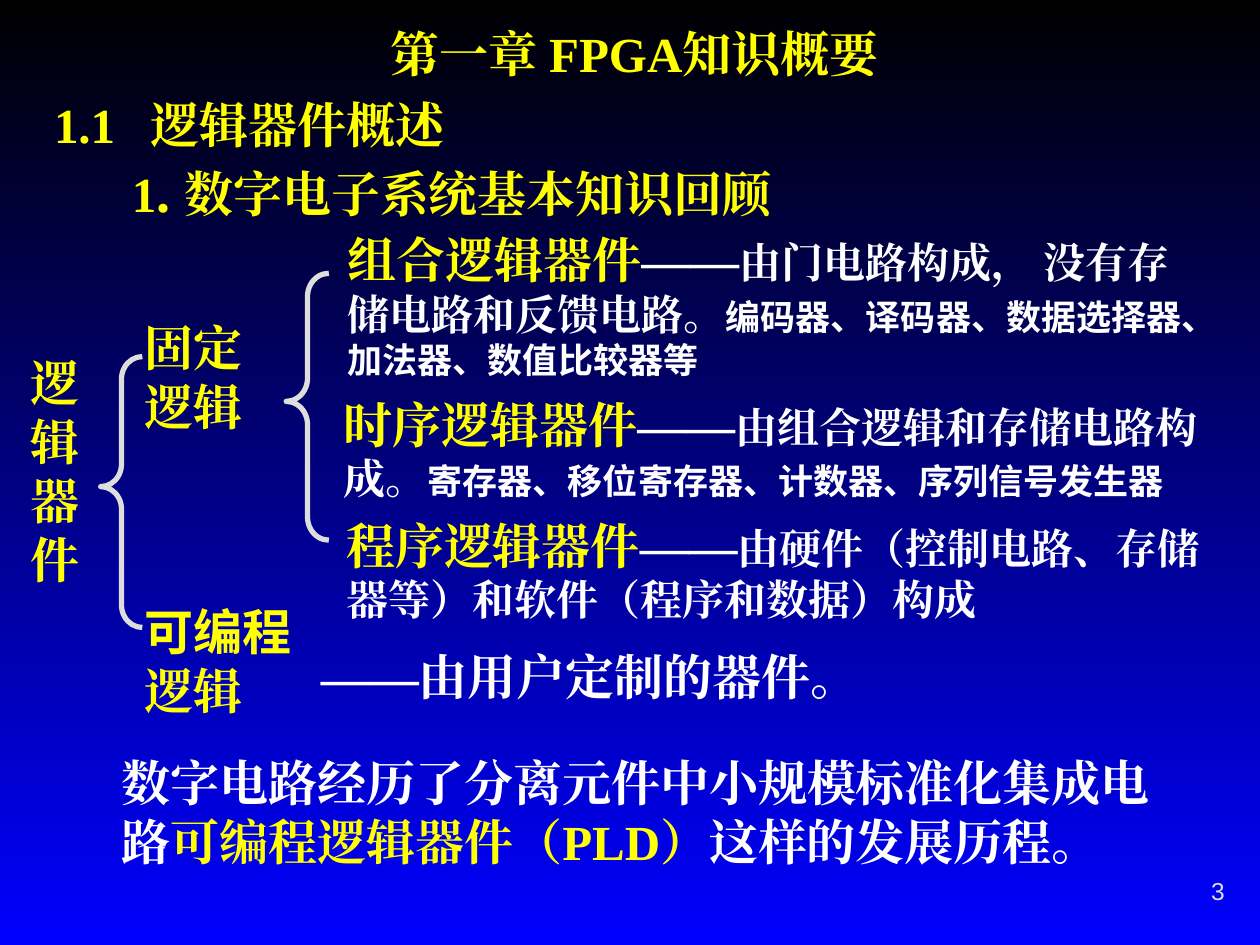
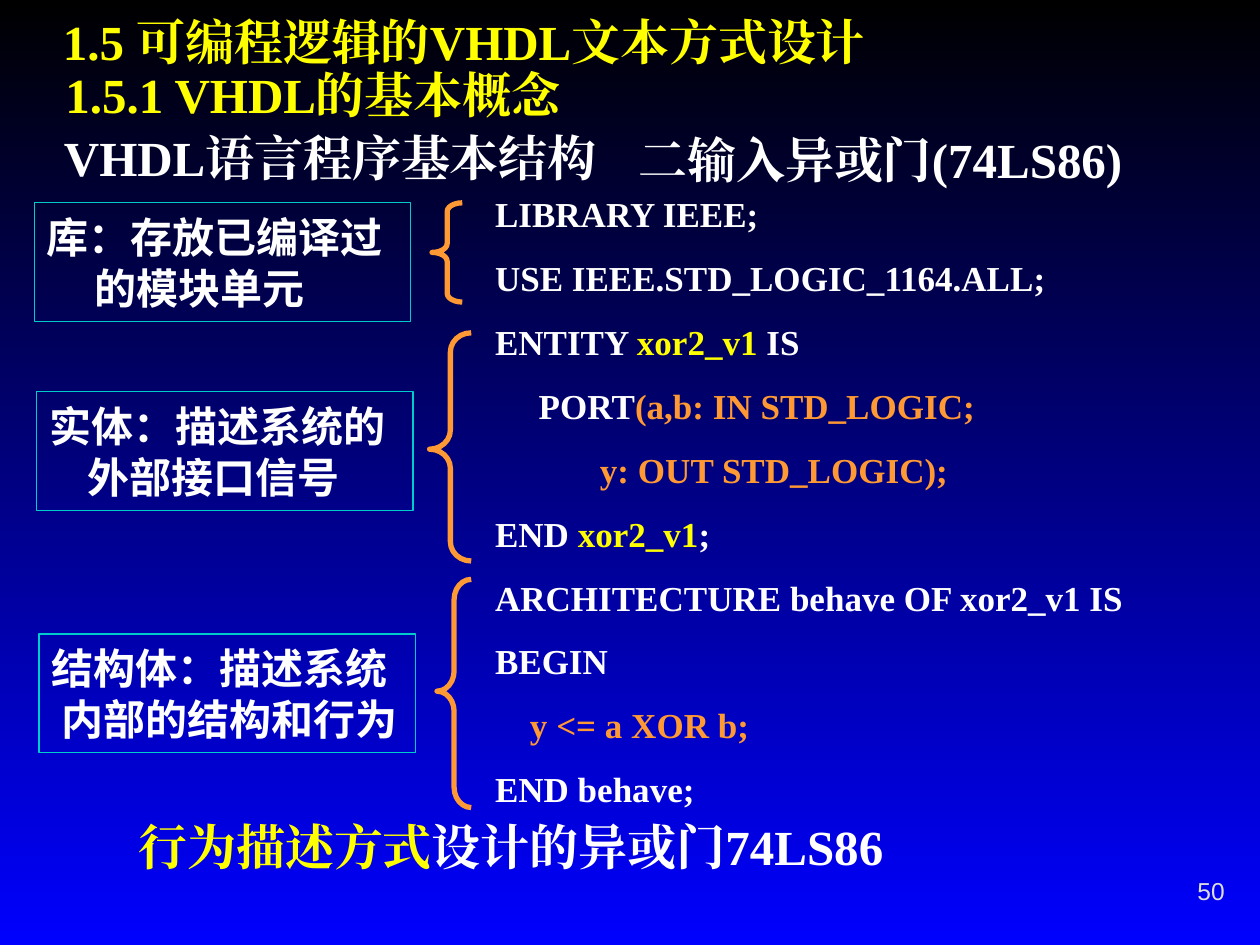
from lxml import etree
from pptx import Presentation
from pptx import util as u
from pptx.dml.color import RGBColor
from pptx.enum import shapes, text
from pptx.oxml import ns

BLACK = RGBColor(0, 0, 0)
BLUE = RGBColor(0, 0, 255)
YELLOW = RGBColor(255, 255, 0)
WHITE = RGBColor(255, 255, 255)
GREY = RGBColor(0xDD, 0xDD, 0xDD)
ORANGE = RGBColor(0xFF, 0x99, 0x33)
TEAL = RGBColor(0, 0xCC, 0xCC)

SERIF = "Times New Roman"
SANS = "Noto Sans CJK SC"
MIDDLE = text.MSO_ANCHOR.MIDDLE


def cm(*lengths):
    return [u.Cm(length) for length in lengths]


def span(words, color=YELLOW, size=28, font=SERIF, bold=True):
    return words, color, size, font, bold


def add_span(para, words, color, size, font, bold):
    run = para.add_run()
    run.text = words
    run.font.size = u.Pt(size)
    run.font.bold = bold
    run.font.color.rgb = color
    run.font.name = font
    east_asian = etree.Element(ns.qn("a:ea"), typeface=font)
    run.font._element.find(ns.qn("a:latin")).addnext(east_asian)
    return run


def add_text_shadow(run):
    effects = etree.Element(ns.qn("a:effectLst"))
    shadow = etree.SubElement(effects, ns.qn("a:outerShdw"),
                              dist="35921", dir="2700000")
    etree.SubElement(shadow, ns.qn("a:srgbClr"), val="000000")
    run.font._element.find(ns.qn("a:solidFill")).addnext(effects)


def fill_text(box, paragraphs, spacing=None, gap=0, align=text.PP_ALIGN.LEFT):
    frame = box.text_frame
    frame.word_wrap = True
    for index, spans in enumerate(paragraphs):
        para = frame.add_paragraph() if index else frame.paragraphs[0]
        para.alignment = align
        if spacing:
            para.line_spacing = spacing
        if index and gap:
            para.space_before = u.Pt(gap)
        for part in spans:
            add_span(para, *part)
    return frame


def add_text(page, place, *paragraphs, anchor=text.MSO_ANCHOR.TOP, **style):
    box = page.shapes.add_textbox(*cm(*place))
    frame = fill_text(box, paragraphs, **style)
    frame.vertical_anchor = anchor
    return frame


def add_brace(page, place, color, curve, tip):
    brace = page.shapes.add_shape(shapes.MSO_SHAPE.LEFT_BRACE, *cm(*place))
    brace.shadow.inherit = False
    brace.fill.background()
    brace.line.color.rgb = color
    brace.line.width = u.Pt(3)
    brace.adjustments[0] = curve
    brace.adjustments[1] = tip


def add_part_box(page, left, top, first, second, indent):
    box = page.shapes.add_shape(shapes.MSO_SHAPE.RECTANGLE,
                                *cm(left, top, 7.59, 2.39))
    box.shadow.inherit = False
    box.fill.background()
    box.line.color.rgb = TEAL
    box.line.width = u.Pt(0.75)
    lines = [[span(line, WHITE, 24, SANS)] for line in (first, second)]
    frame = fill_text(box, lines)
    frame.vertical_anchor = MIDDLE
    frame.margin_right = 0
    frame.paragraphs[1]._p.get_or_add_pPr().set("marL", str(u.Cm(indent)))


def add_page(deck, number):
    page = deck.slides.add_slide(deck.slide_layouts[6])
    add_text(page, (19.66, 17.32, 5.28, 1.27),
             [span(str(number), GREY, 14, "Arial", False)],
             anchor=MIDDLE, align=text.PP_ALIGN.RIGHT)
    return page


def set_background(deck):
    fill = deck.slide_master.background.fill
    fill.gradient()
    fill.gradient_angle = 270
    for stop, color, position in zip(fill.gradient_stops, (BLACK, BLUE), (0, 1)):
        stop.color.rgb = color
        stop.position = position


def build_overview(deck):
    page = add_page(deck, 3)
    add_text(page, (1.37, 0.53, 22.83, 1.09), [span("第一章 FPGA知识概要")],
             anchor=MIDDLE, align=text.PP_ALIGN.CENTER)
    section = add_text(page, (0.84, 1.78, 19.69, 1.78),
                       [span("1.1\t逻辑器件概述")])
    hanging = section.paragraphs[0]._p.get_or_add_pPr()
    hanging.set("marL", str(u.Cm(1.95)))
    hanging.set("indent", str(u.Cm(-1.95)))
    add_text(page, (2.41, 3.18, 20.12, 1.68),
             [span("1"), span(". ", size=32), span("数字电子系统基本知识回顾")],
             spacing=0.9)

    add_text(page, (0.25, 6.99, 1.7, 5), [span("逻辑器件")],
             align=text.PP_ALIGN.CENTER)
    add_brace(page, (2.03, 7.19, 0.84, 5.46), GREY, 0.54, 0.48)
    add_text(page, (2.67, 6.27, 3.1, 2.64), [span("固定")], [span("逻辑")])
    add_text(page, (2.67, 12.01, 3.5, 2.64),
             [span("可编程", font=SANS), span("逻辑")])
    add_brace(page, (5.77, 5.51, 0.86, 5.38), GREY, 0.54, 0.48)

    devices = [
        ((6.76, 4.5, 17.83, 3.3), "组合逻辑器件",
         "由门电路构成， 没有存储电路和反馈电路。",
         "编码器、译码器、数据选择器、加法器、数值比较器等"),
        ((6.68, 7.82, 18.03, 2.46), "时序逻辑器件",
         "由组合逻辑和存储电路构成。",
         "寄存器、移位寄存器、计数器、序列信号发生器"),
        ((6.73, 10.26, 18.24, 2.46), "程序逻辑器件",
         "由硬件（控制电路、存储器等）和软件（程序和数据）构成", ""),
    ]
    for place, name, meaning, examples in devices:
        spans = [span(name), span("——", WHITE), span(meaning, WHITE, 24)]
        if examples:
            spans.append(span(examples, WHITE, 20, SANS))
        add_text(page, place, spans)
    add_text(page, (6.22, 12.9, 16.03, 1.45),
             [span("——由用户定制的器件。", WHITE)])

    history = add_text(page, (2.21, 14.83, 21.54, 3.05),
                       [span("数字电路经历了分离元件中小规模标准化集成电路", WHITE),
                        span("可编程逻辑器件（PLD）"),
                        span("这样的发展历程。", WHITE)], anchor=MIDDLE)
    for run in history.paragraphs[0].runs:
        add_text_shadow(run)


def build_vhdl(deck):
    page = add_page(deck, 50)
    add_text(page, (1.02, 0.33, 19.69, 1.37),
             [span("1.5 可编程逻辑的VHDL文本方式设计")], spacing=0.8)
    add_text(page, (1.07, 1.32, 19.69, 1.37),
             [span("1.5.1 VHDL的基本概念")], spacing=0.9)
    add_text(page, (1.04, 2.44, 23.34, 1.5),
             [span("VHDL语言程序基本结构", WHITE)])
    add_text(page, (12.62, 2.49, 12.01, 1.5),
             [span("二输入异或门(74LS86)", WHITE)])

    code = [
        [("LIBRARY IEEE;", WHITE)],
        [("USE IEEE.STD_LOGIC_1164.ALL;", WHITE)],
        [("ENTITY ", WHITE), ("xor2_v1 ", YELLOW), ("IS", WHITE)],
        [("     PORT", WHITE), ("(a,b: IN STD_LOGIC;", ORANGE)],
        [("            y: OUT STD_LOGIC);", ORANGE)],
        [("END ", WHITE), ("xor2_v1", YELLOW), (";", WHITE)],
        [("ARCHITECTURE behave OF xor2_v1 IS", WHITE)],
        [("BEGIN", WHITE)],
        [("    y <= a XOR b;", ORANGE)],
        [("END behave;", WHITE)],
    ]
    lines = [[span(words, color, 20) for words, color in line] for line in code]
    add_text(page, (9.73, 3.76, 14.6, 12.7), *lines, gap=12.5)

    add_part_box(page, 0.69, 4.09, "库：存放已编译过", "的模块单元", 0.97)
    add_part_box(page, 0.74, 7.9, "实体：描述系统的", "外部接口信号", 0.78)
    add_part_box(page, 0.79, 12.78, "结构体：描述系统", "内部的结构和行为", 0.2)
    add_brace(page, (8.71, 4.09, 0.61, 2), ORANGE, 0.29, 0.5)
    add_brace(page, (8.66, 6.71, 0.84, 4.6), ORANGE, 0.46, 0.51)
    add_brace(page, (8.81, 11.68, 0.69, 4.6), ORANGE, 0.59, 0.49)

    add_text(page, (2.54, 15.88, 19.08, 2.36),
             [span("行为描述方式"), span("设计的异或门74LS86", WHITE)],
             anchor=MIDDLE)


def main():
    deck = Presentation()
    deck.slide_width, deck.slide_height = cm(25.4, 19.05)
    set_background(deck)
    build_overview(deck)
    build_vhdl(deck)
    deck.save("out.pptx")


if __name__ == "__main__":
    main()
